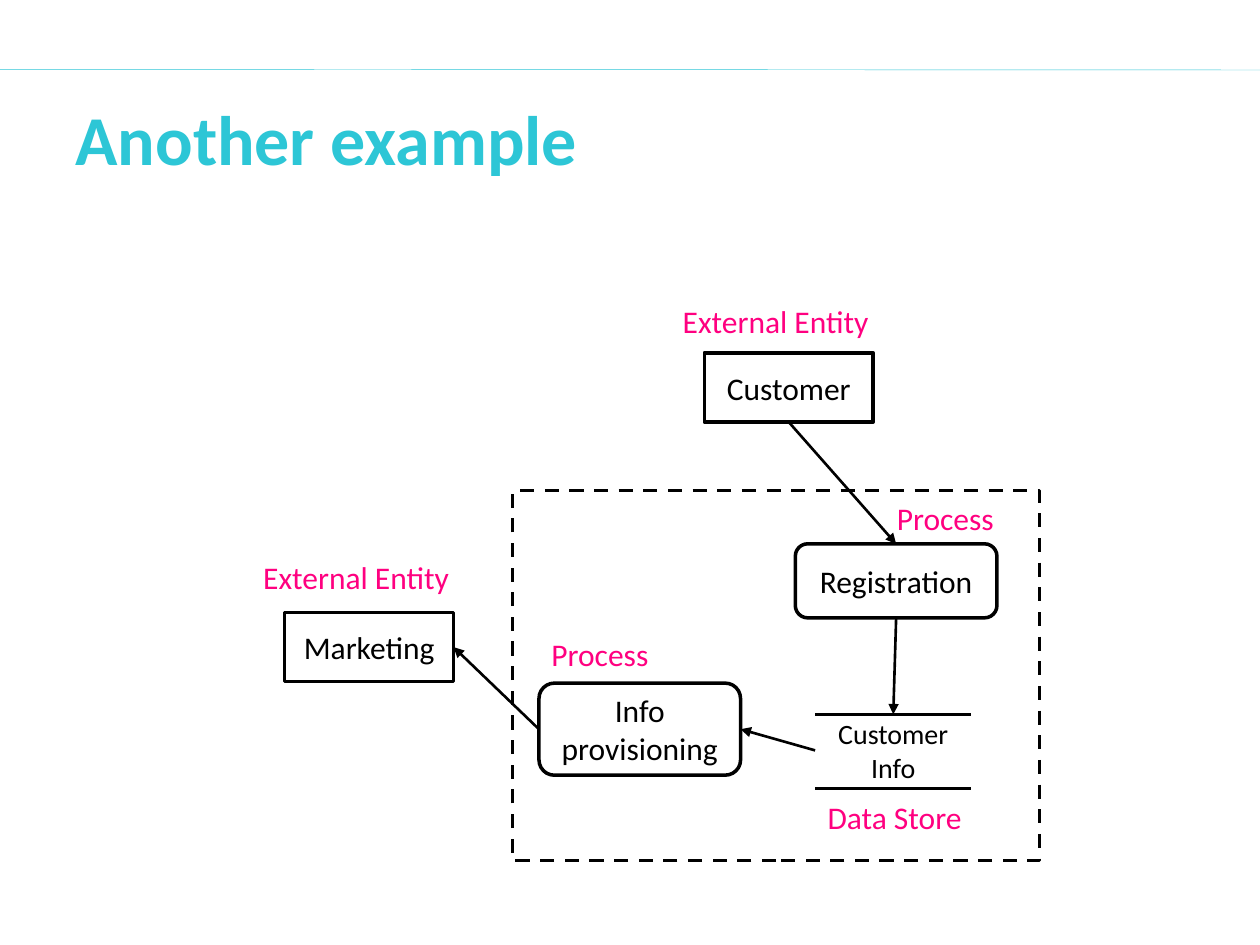
from dataclasses import dataclass

from lxml import etree
from pptx import Presentation
from pptx.dml.color import RGBColor
from pptx.enum.dml import MSO_LINE
from pptx.enum.shapes import MSO_CONNECTOR, MSO_SHAPE
from pptx.enum.text import MSO_ANCHOR, MSO_AUTO_SIZE, PP_ALIGN
from pptx.oxml.ns import qn
from pptx.shapes.autoshape import Shape
from pptx.shapes.connector import Connector
from pptx.slide import Slide
from pptx.util import Pt

RECT = MSO_SHAPE.RECTANGLE
ROUNDED = MSO_SHAPE.ROUNDED_RECTANGLE
STRAIGHT = MSO_CONNECTOR.STRAIGHT
DASH = MSO_LINE.DASH
MIDDLE = MSO_ANCHOR.MIDDLE
LEFT_ALIGN, CENTER = PP_ALIGN.LEFT, PP_ALIGN.CENTER
FIT_SHAPE = MSO_AUTO_SIZE.SHAPE_TO_FIT_TEXT
TOP, LEFT, BOTTOM, RIGHT = range(4)


@dataclass(frozen=True)
class Theme:
    font: str = "Calibri"
    ink: RGBColor = RGBColor(0x00, 0x00, 0x00)
    accent: RGBColor = RGBColor(0x2D, 0xC6, 0xD6)
    label: RGBColor = RGBColor(0xFF, 0x00, 0x80)
    title_size: float = 40
    text_size: float = 18
    store_size: float = 16
    outline: float = 2
    flow: float = 1.5
    hairline: float = 0.25


@dataclass(frozen=True)
class Box:
    left: float
    top: float
    width: float
    height: float

    def points(self) -> tuple[Pt, Pt, Pt, Pt]:
        return Pt(self.left), Pt(self.top), Pt(self.width), Pt(self.height)


@dataclass(frozen=True)
class Node:
    text: str
    box: Box
    kind: MSO_SHAPE


@dataclass(frozen=True)
class Flow:
    source: str
    source_site: int
    target: str
    target_site: int


@dataclass(frozen=True)
class Label:
    text: str
    box: Box


THEME = Theme()
TITLE_BOX = Box(36, 49.7, 648, 58.3)
BOUNDARY_BOX = Box(293, 280.2, 301, 211.6)
STORE_NAME = "Customer Info"
STORE_BOX = Box(465.8, 408.2, 89.3, 41.2)
STORE_RULES = (408.2, 450.7)

NODES = (
    Node("Customer", Box(402.5, 201.6, 96.5, 39.6), RECT),
    Node("Marketing", Box(162.7, 350, 96.5, 39.6), RECT),
    Node("Registration", Box(454.5, 310.8, 115.2, 42.3), ROUNDED),
    Node("Info provisioning", Box(308, 390.4, 115.2, 52.6), ROUNDED),
)
FLOWS = (
    Flow("Customer", BOTTOM, "Registration", TOP),
    Flow("Registration", BOTTOM, STORE_NAME, TOP),
    Flow("Info provisioning", LEFT, "Marketing", RIGHT),
    Flow(STORE_NAME, LEFT, "Info provisioning", RIGHT),
)
LABELS = (
    Label("External Entity", Box(383, 169.2, 121.7, 29)),
    Label("Process", Box(505.4, 281.8, 70.6, 29)),
    Label("External Entity", Box(143.3, 315.4, 121.7, 29)),
    Label("Process", Box(308, 359.3, 70.6, 29)),
    Label("Data Store", Box(465.8, 452.2, 92.2, 29)),
)


def write(s: Shape, text: str, size: float, color: RGBColor,
          align: PP_ALIGN, bold: bool = False) -> None:
    tf = s.text_frame
    tf.text = text
    p = tf.paragraphs[0]
    p.alignment = align
    font = p.runs[0].font
    font.name = THEME.font
    font.size = Pt(size)
    font.bold = bold
    font.color.rgb = color


def add_title(s: Slide, text: str) -> None:
    title = s.shapes.title
    title.left, title.top, title.width, title.height = TITLE_BOX.points()
    title.text_frame.vertical_anchor = MIDDLE
    write(title, text, THEME.title_size, THEME.accent, LEFT_ALIGN, True)


def add_outline(s: Slide, kind: MSO_SHAPE, box: Box) -> Shape:
    sp = s.shapes.add_shape(kind, *box.points())
    sp.shadow.inherit = False
    sp.fill.background()
    sp.line.color.rgb = THEME.ink
    sp.line.width = Pt(THEME.outline)
    return sp


def add_node(s: Slide, node: Node) -> Shape:
    sp = add_outline(s, node.kind, node.box)
    sp.text_frame.word_wrap = True
    sp.text_frame.vertical_anchor = MIDDLE
    write(sp, node.text, THEME.text_size, THEME.ink, CENTER)
    return sp


def add_line(s: Slide, x1: float, y1: float, x2: float, y2: float,
             color: RGBColor, width: float) -> Connector:
    line = s.shapes.add_connector(STRAIGHT, Pt(x1), Pt(y1), Pt(x2), Pt(y2))
    line.line.color.rgb = color
    line.line.width = Pt(width)
    etree.SubElement(line._element.spPr, qn("a:effectLst"))
    return line


def add_store(s: Slide) -> Shape:
    right = STORE_BOX.left + STORE_BOX.width
    for y in STORE_RULES:
        add_line(s, STORE_BOX.left, y, right, y, THEME.ink, THEME.flow)
    sp = s.shapes.add_textbox(*STORE_BOX.points())
    sp.text_frame.word_wrap = True
    sp.text_frame.vertical_anchor = MIDDLE
    write(sp, STORE_NAME, THEME.store_size, THEME.ink, CENTER)
    return sp


def add_flow(s: Slide, flow: Flow, shapes: dict[str, Shape]) -> None:
    line = add_line(s, 0, 0, 0, 0, THEME.ink, THEME.flow)
    line.begin_connect(shapes[flow.source], flow.source_site)
    line.end_connect(shapes[flow.target], flow.target_site)
    ln = line._element.spPr.find(qn("a:ln"))
    etree.SubElement(ln, qn("a:tailEnd"), type="triangle")


def add_label(s: Slide, label: Label) -> None:
    sp = s.shapes.add_textbox(*label.box.points())
    sp.text_frame.word_wrap = False
    sp.text_frame.auto_size = FIT_SHAPE
    write(sp, label.text, THEME.text_size, THEME.label, LEFT_ALIGN)


def main() -> None:
    prs = Presentation()
    prs.slide_width, prs.slide_height = Pt(720), Pt(540)
    s = prs.slides.add_slide(prs.slide_layouts[5])

    add_line(s, 0, 39.6, 720, 40, THEME.accent, THEME.hairline)
    add_title(s, "Another example")
    shapes = {node.text: add_node(s, node) for node in NODES}
    shapes[STORE_NAME] = add_store(s)
    for flow in FLOWS:
        add_flow(s, flow, shapes)
    boundary = add_outline(s, RECT, BOUNDARY_BOX)
    boundary.line.dash_style = DASH
    for label in LABELS:
        add_label(s, label)

    prs.save("out.pptx")


if __name__ == "__main__":
    main()
